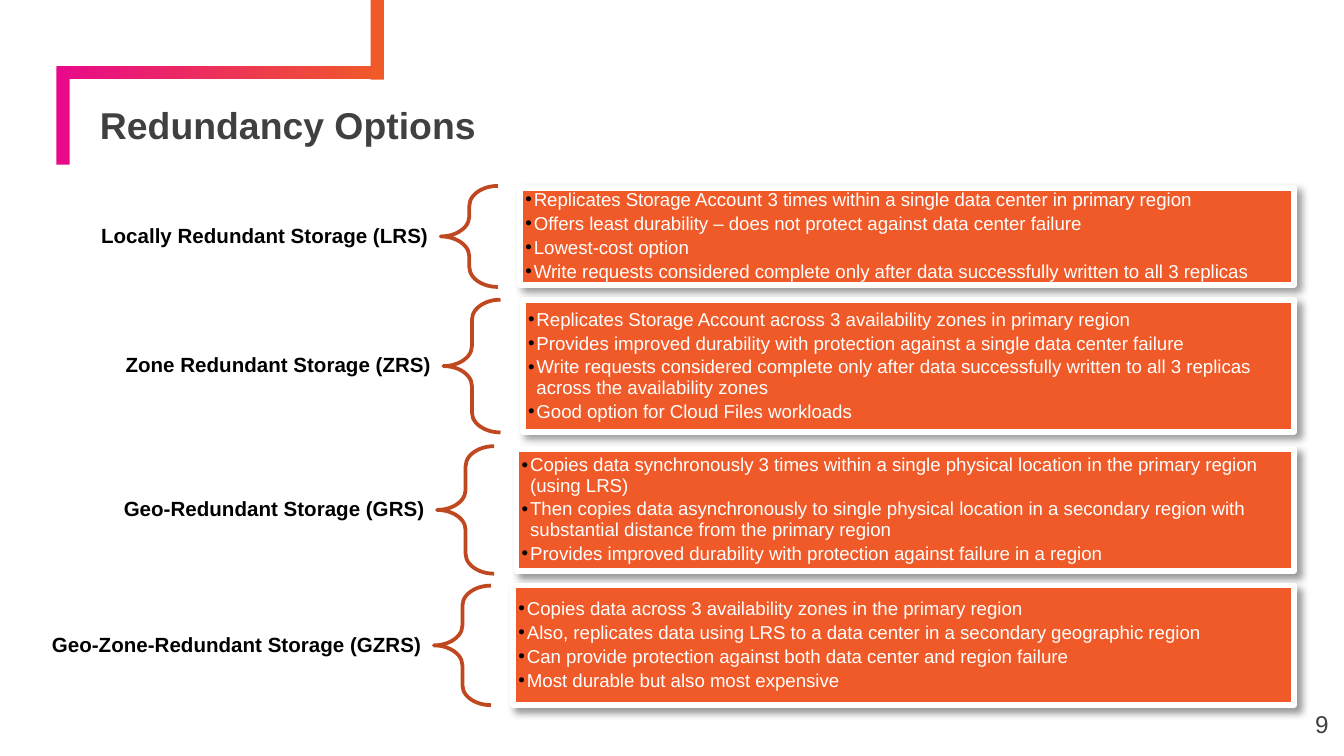
from dataclasses import dataclass

from lxml.etree import SubElement
from pptx import Presentation
from pptx.dml.color import RGBColor
from pptx.enum.shapes import MSO_SHAPE
from pptx.enum.text import MSO_ANCHOR, PP_ALIGN
from pptx.oxml.ns import qn
from pptx.slide import Slide
from pptx.util import Cm, Pt

ORANGE = RGBColor(0xF0, 0x5A, 0x28)
PINK = RGBColor(0xE8, 0x0A, 0x89)
RUST = RGBColor(0xC0, 0x48, 0x20)
GRAY = RGBColor(0x40, 0x40, 0x40)
BLACK = RGBColor(0, 0, 0)
WHITE = RGBColor(0xFF, 0xFF, 0xFF)

LABEL_LEFT, LABEL_HEIGHT = 0.53, 2.46
BRACE_WIDTH, BRACE_TO_PANEL = 1.08, 1.5
PANEL_RIGHT = 24.46

OPTIONS = [
    ("Locally Redundant Storage (LRS)", 8.33, 4.47, 1.91, 1.83, [
        "Replicates Storage Account 3 times within a single data center in primary region",
        "Offers least durability – does not protect against data center failure",
        "Lowest-cost option",
        "Write requests considered complete only after data successfully written to all 3 replicas",
    ]),
    ("Zone Redundant Storage (ZRS)", 8.38, 6.92, 2.51, 2.49, [
        "Replicates Storage Account across 3 availability zones in primary region",
        "Provides improved durability with protection against a single data center failure",
        "Write requests considered complete only after data successfully written to all 3 replicas "
        "across the availability zones",
        "Good option for Cloud Files workloads",
    ]),
    ("Geo-Redundant Storage (GRS)", 8.26, 9.64, 2.41, 2.31, [
        "Copies data synchronously 3 times within a single physical location in the primary region "
        "(using LRS)",
        "Then copies data asynchronously to single physical location in a secondary region with "
        "substantial distance from the primary region",
        "Provides improved durability with protection against failure in a region",
    ]),
    ("Geo-Zone-Redundant Storage (GZRS)", 8.2, 12.2, 2.26, 2.26, [
        "Copies data across 3 availability zones in the primary region",
        "Also, replicates data using LRS to a data center in a secondary geographic region",
        "Can provide protection against both data center and region failure",
        "Most durable but also most expensive",
    ]),
]


@dataclass
class SlideBuilder:
    slide: Slide
    font: str = "Arial"
    line_spacing: float = 0.9

    def shape(self, kind, left, top, width, height):
        shape = self.slide.shapes.add_shape(kind, Cm(left), Cm(top), Cm(width), Cm(height))
        shape.shadow.inherit = False
        return shape

    def bar(self, left, top, width, height, color, rotation=0):
        bar = self.shape(MSO_SHAPE.RECTANGLE, left, top, width, height)
        bar.rotation = rotation
        bar.fill.solid()
        bar.fill.fore_color.rgb = color
        bar.line.fill.background()
        return bar

    def gradient_bar(self, left, top, width, height, start, end):
        fill = self.bar(left, top, width, height, start).fill
        fill.gradient()
        fill.gradient_angle = 0
        for stop, color in zip(fill.gradient_stops, (start, end)):
            stop.color.rgb = color

    def frame(self, holder, side, edge):
        frame = holder.text_frame
        frame.word_wrap = True
        frame.vertical_anchor = MSO_ANCHOR.MIDDLE
        frame.margin_left = frame.margin_right = Cm(side)
        frame.margin_top = frame.margin_bottom = Cm(edge)
        return frame

    def add_text_run(self, paragraph, text, size, color, bold=False, align=PP_ALIGN.LEFT):
        paragraph.alignment = align
        paragraph.line_spacing = self.line_spacing
        run = paragraph.add_run()
        run.text = text
        run.font.name = self.font
        run.font.size = Pt(size)
        run.font.bold = bold
        run.font.color.rgb = color

    def text(self, text, left, top, width, height, size, color,
             bold=False, align=PP_ALIGN.LEFT, side=0.18, edge=0.1):
        box = self.slide.shapes.add_textbox(Cm(left), Cm(top), Cm(width), Cm(height))
        frame = self.frame(box, side, edge)
        self.add_text_run(frame.paragraphs[0], text, size, color, bold, align)

    def brace(self, left, middle, height):
        brace = self.shape(MSO_SHAPE.LEFT_BRACE, left, middle - height / 2, BRACE_WIDTH, height)
        brace.adjustments[0] = 0.35
        brace.fill.background()
        brace.line.color.rgb = RUST
        brace.line.width = Pt(2)

    def panel(self, left, middle, height, points):
        panel = self.shape(MSO_SHAPE.RECTANGLE, left, middle - height / 2,
                           PANEL_RIGHT - left, height)
        panel.fill.solid()
        panel.fill.fore_color.rgb = ORANGE
        panel.line.color.rgb = WHITE
        panel.line.width = Pt(3)
        self.drop_shadow(panel)
        frame = self.frame(panel, 0.1, 0.1)
        for index, point in enumerate(points):
            paragraph = frame.add_paragraph() if index else frame.paragraphs[0]
            paragraph.level = 1
            paragraph.space_after = Pt(2)
            self.add_text_run(paragraph, point, 10, WHITE)
            self.bullet(paragraph)

    def drop_shadow(self, shape):
        effects = shape.element.spPr.find(qn("a:effectLst"))
        shadow = SubElement(effects, qn("a:outerShdw"), blurRad=str(Pt(4)), dist=str(Pt(3)),
                            dir="2700000", algn="tl", rotWithShape="0")
        color = SubElement(shadow, qn("a:srgbClr"), val=str(BLACK))
        SubElement(color, qn("a:alpha"), val="40000")

    def bullet(self, paragraph):
        properties = paragraph._p.get_or_add_pPr()
        properties.set("marL", str(Cm(0.16)))
        properties.set("indent", str(-Cm(0.16)))
        color = SubElement(properties, qn("a:buClr"))
        SubElement(color, qn("a:srgbClr"), val=str(BLACK))
        SubElement(properties, qn("a:buFont"), typeface=self.font)
        SubElement(properties, qn("a:buChar"), char="•")

    def option(self, name, brace_left, middle, brace_height, panel_height, points):
        self.text(name, LABEL_LEFT, middle - LABEL_HEIGHT / 2, brace_left - LABEL_LEFT,
                  LABEL_HEIGHT, 11, BLACK, True, PP_ALIGN.RIGHT, 0.23, 0.08)
        self.brace(brace_left, middle, brace_height)
        self.panel(brace_left + BRACE_TO_PANEL, middle, panel_height, points)


def main():
    presentation = Presentation()
    presentation.slide_width = Cm(25.4)
    presentation.slide_height = Cm(14.29)
    builder = SlideBuilder(presentation.slides.add_slide(presentation.slide_layouts[6]))

    builder.gradient_bar(1.08, 1.25, 6.17, 0.25, PINK, ORANGE)
    builder.bar(0.26, 2.06, 1.86, 0.25, PINK, 90)
    builder.bar(6.38, 0.63, 1.5, 0.25, ORANGE, 90)
    builder.text("Redundancy Options", 1.71, 1.98, 22.94, 0.86, 20, GRAY, True)
    builder.text("9", 23.77, 13.18, 1.52, 1.09, 13, GRAY, align=PP_ALIGN.RIGHT)
    for option in OPTIONS:
        builder.option(*option)

    presentation.save("out.pptx")


if __name__ == "__main__":
    main()
